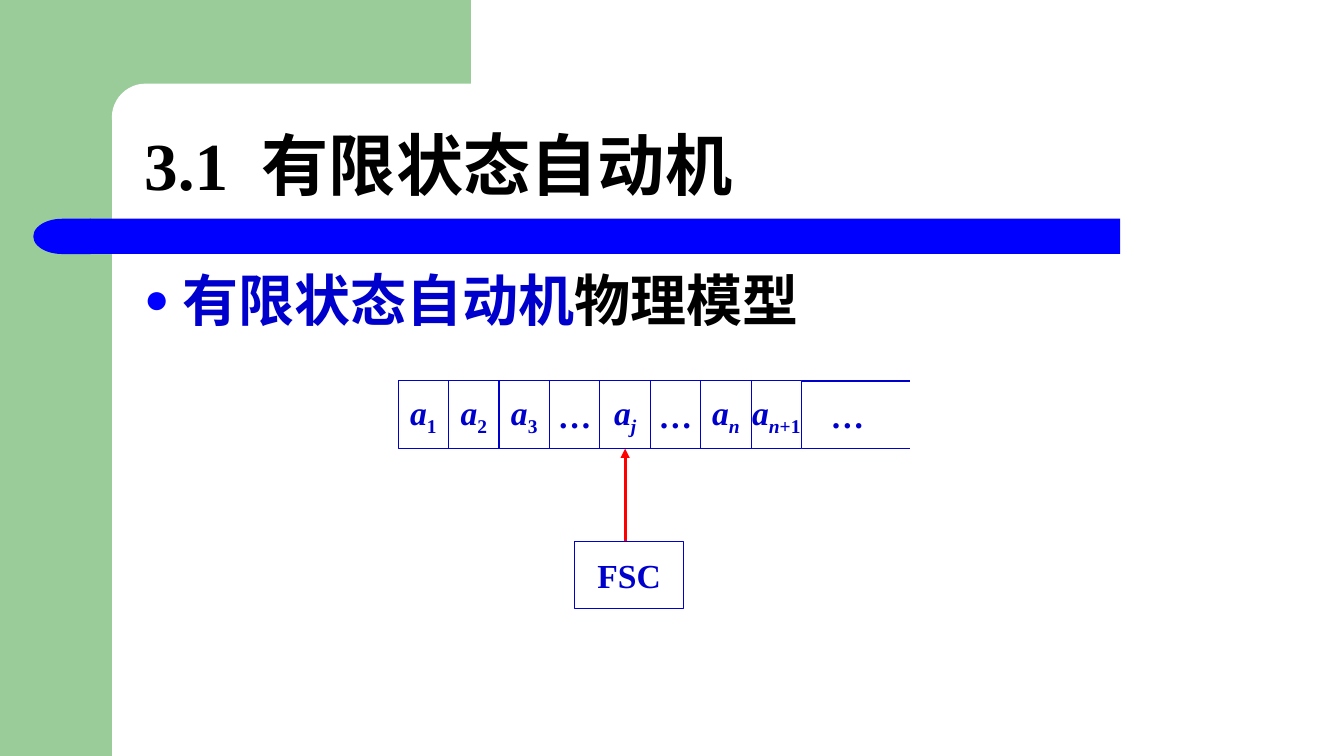
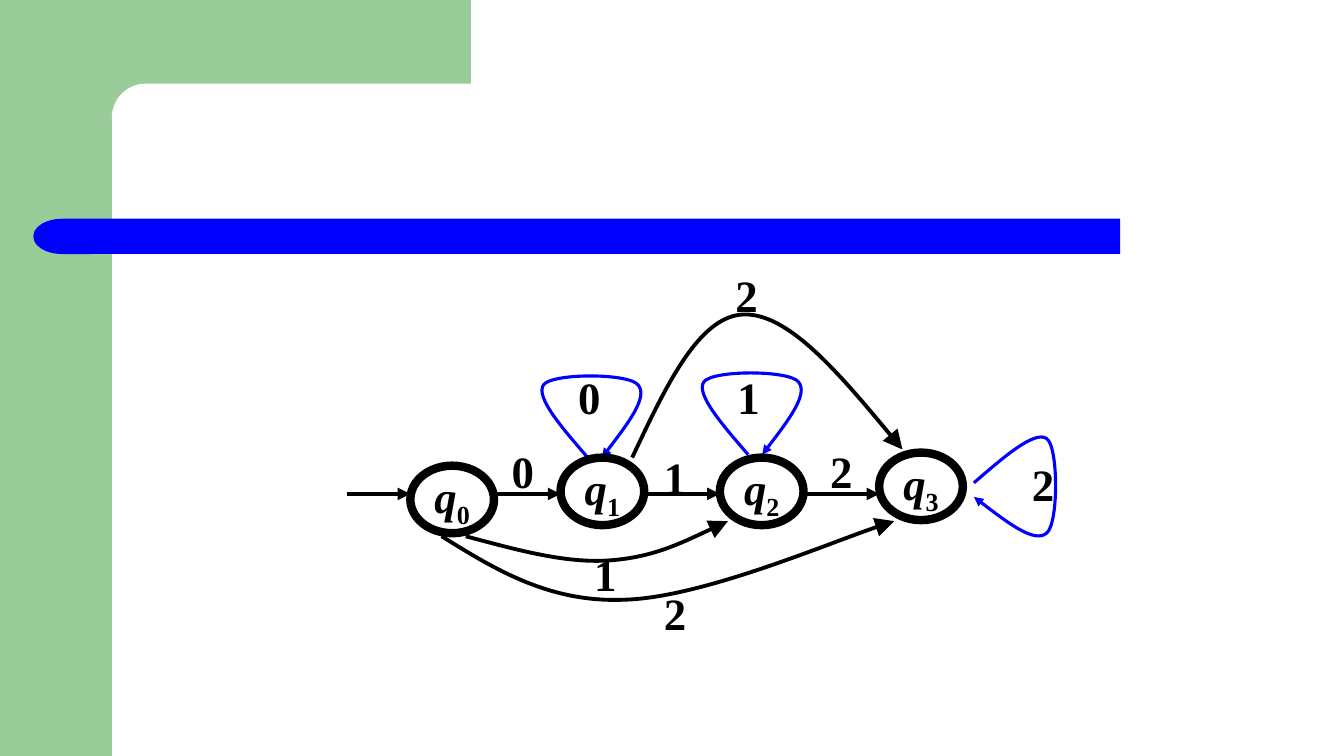
from dataclasses import dataclass
from pptx import Presentation
from pptx.dml.color import RGBColor
from pptx.enum.shapes import MSO_CONNECTOR, MSO_SHAPE
from pptx.enum.text import MSO_ANCHOR, MSO_AUTO_SIZE, PP_ALIGN
from pptx.oxml.xmlchemy import OxmlElement
from pptx.util import Inches, Pt


@dataclass(frozen=True)
class Theme:
    font: str = "Times New Roman"
    green: str = "99CC99"
    white: str = "FFFFFF"
    blue: str = "0000FF"
    ink: str = "0000CC"
    black: str = "000000"
    red: str = "FF0000"
    title: int = 48
    body: int = 40
    state: int = 32
    cell: int = 24


T = Theme()
SYMBOLS = {"a", "j", "n", "q"}


def write(para, parts, size, color):
    """Add the first part as a run and the others as its subscripts."""
    for i, part in enumerate(parts):
        run = para.add_run()
        run.text = part
        run.font.name = T.font
        run.font.size = Pt(size)
        run.font.bold = True
        run.font.italic = part in SYMBOLS
        run.font.color.rgb = RGBColor.from_string(color)
        if i:
            run._r.get_or_add_rPr().set("baseline", "-25000")
    return run


def stroke(item, color, width, head=None):
    """Outline a shape or connector, with no fill or shadow."""
    if hasattr(item, "fill"):
        item.fill.background()
    item.line.color.rgb = RGBColor.from_string(color)
    item.line.width = Pt(width)
    if head:
        tail = OxmlElement("a:tailEnd")
        for key, value in (("type", "triangle"), ("w", head), ("len", head)):
            tail.set(key, value)
        item.line._get_or_add_ln().append(tail)
    item.element.spPr.append(OxmlElement("a:effectLst"))


prs = Presentation()
prs.slide_width, prs.slide_height = Inches(13.33), Inches(7.5)
tape = prs.slides.add_slide(prs.slide_layouts[1])
graph = prs.slides.add_slide(prs.slide_layouts[6])

# Shared bands, moved to the back of the master
BANDS = [
    (MSO_SHAPE.RECTANGLE, 0, 0, 1.11, 7.5, T.green),
    (MSO_SHAPE.RECTANGLE, 1, 0, 3.67, 1.17, T.green),
    (MSO_SHAPE.ROUNDED_RECTANGLE, 1.11, 0.83, 7.44, 0.67, T.white),
    (MSO_SHAPE.RECTANGLE, 0.89, 2.17, 10.22, 0.35, T.blue),
    (MSO_SHAPE.FLOWCHART_DELAY, 0.33, 2.17, 0.57, 0.35, T.blue),
]
master = prs.slide_master.shapes.element
for i, (kind, *box, color) in enumerate(BANDS):
    band = tape.shapes.add_shape(kind, *map(Inches, box))
    band.fill.solid()
    band.fill.fore_color.rgb = RGBColor.from_string(color)
    band.line.fill.background()
    band.shadow.inherit = False
    if kind == MSO_SHAPE.ROUNDED_RECTANGLE:
        band.adjustments[0] = 0.5
    if kind == MSO_SHAPE.FLOWCHART_DELAY:
        band.rotation = 180
    band.element.xpath(".//p:cNvPr")[0].set("id", str(100 + i))
    master.insert(2 + i, band.element)

# Slide 1: title and list
title, body = tape.placeholders
for holder, top, height, anchor in ((title, 0.83, 1.25, MSO_ANCHOR.BOTTOM),
                                    (body, 2.58, 4.08, MSO_ANCHOR.TOP)):
    holder.left, holder.top = Inches(1.33), Inches(top)
    holder.width, holder.height = Inches(11.67), Inches(height)
    holder.text_frame.vertical_anchor = anchor
    holder.text_frame.auto_size = MSO_AUTO_SIZE.NONE

head = title.text_frame.paragraphs[0]
head.alignment = PP_ALIGN.LEFT
head.line_spacing = 0.9
write(head, ["3.1"], T.title, T.black)
gap = write(head, [" "], T.title, T.black)
gap._r.get_or_add_rPr().set("spc", "1200")
write(head, ["有限状态自动机"], T.title, T.black)

item = body.text_frame.paragraphs[0]
props = item._p.get_or_add_pPr()
props.set("marL", str(Inches(0.38)))
props.set("indent", str(-Inches(0.38)))
tint = OxmlElement("a:buClr")
shade = OxmlElement("a:srgbClr")
shade.set("val", T.blue)
tint.append(shade)
scale = OxmlElement("a:buSzPct")
scale.set("val", "75000")
dot = OxmlElement("a:buChar")
dot.set("char", "●")
for part in (tint, scale, dot):
    props.append(part)
item.space_before = Pt(0)
write(item, ["有限状态自动机"], T.body, T.ink)
write(item, ["物理模型"], T.body, T.black)

# Boxes of the tape and the control unit; circles of the states
CELLS = ["a1", "a2", "a3", "…", "aj", "…", "an", ("a", "n", "+1")]
STATES = [(4.07, 4.62), (5.56, 4.54), (7.14, 4.54), (8.72, 4.49)]
LEFT, TOP, STEP, TALL, WIDE = 3.95, 3.78, 0.5, 0.67, 0.83
nodes = [(tape, MSO_SHAPE.RECTANGLE, LEFT + i * STEP, TOP, STEP, parts)
         for i, parts in enumerate(CELLS)]
nodes.append((tape, MSO_SHAPE.RECTANGLE, 5.7, 5.37, 1.08, ["FSC"]))
nodes += [(graph, MSO_SHAPE.OVAL, x, y, WIDE, ("q", str(i)))
          for i, (x, y) in enumerate(STATES)]

# Loops and curves, as a start and cubic control points
LOOP = [(0, 0), (-0.26, -0.3), (-0.52, -0.6), (-0.44, -0.72), (-0.36, -0.84),
        (0.41, -0.84), (0.5, -0.72), (0.6, -0.6), (0.37, -0.3), (0.14, 0)]
curves = [([(x + dx, y + dy) for dx, dy in LOOP], T.blue, 2.25, "med")
          for x, y in ((5.83, 4.54), (7.42, 4.51))]
curves.append(([(9.66 - dy, 4.79 + dx) for dx, dy in LOOP],
               T.blue, 2.25, "med"))
ARCS = [
    [(4.62, 5.32), (5.11, 5.45), (5.6, 5.59), (6.04, 5.56),
     (6.47, 5.53), (6.84, 5.35), (7.22, 5.17)],
    [(4.38, 5.32), (4.91, 5.65), (5.45, 5.98), (6.19, 5.95),
     (6.94, 5.93), (8.43, 5.3), (8.87, 5.17)],
    [(6.27, 4.54), (6.6, 3.84), (6.93, 3.13), (7.38, 3.12),
     (7.82, 3.11), (8.39, 3.78), (8.95, 4.46)],
]
curves += [(arc, T.black, 2.75, "lg") for arc in ARCS]
for points, color, width, size in curves:
    pen = graph.shapes.build_freeform(*points[0], scale=Inches(1) / 1000 * 1000)
    pen = graph.shapes.build_freeform(
        *(round(v * 1000) for v in points[0]), scale=Inches(1) / 1000)
    pen.add_line_segments(
        [(round(x * 1000), round(y * 1000)) for x, y in points[1:]], close=False)
    curve = pen.convert_to_shape()
    track = curve.element.xpath(".//a:path")[0]
    legs = track.xpath("./a:lnTo")
    for i in range(0, len(legs), 3):
        bend = OxmlElement("a:cubicBezTo")
        for leg in legs[i:i + 3]:
            bend.append(leg[0])
            track.remove(leg)
        track.append(bend)
    stroke(curve, color, width, size)

for slide, kind, x, y, width, parts in nodes:
    node = slide.shapes.add_shape(
        kind, Inches(x), Inches(y), Inches(width), Inches(TALL))
    frame = node.text_frame
    frame.word_wrap = False
    frame.vertical_anchor = MSO_ANCHOR.MIDDLE
    frame.paragraphs[0].alignment = PP_ALIGN.CENTER
    if slide is tape:
        stroke(node, T.ink, 0.75)
        write(frame.paragraphs[0], parts, T.cell, T.ink)
    else:
        stroke(node, T.black, 6)
        write(frame.paragraphs[0], parts, T.state, T.black)

# Straight lines: open end of the tape, read head, steps between states
END = LEFT + len(CELLS) * STEP
lines = [(tape, END, y, 9.03, y, T.ink, 0.75, None)
         for y in (TOP, TOP + TALL)]
lines.append((tape, 6.2, 5.37, 6.2, TOP + TALL, T.red, 2.25, "med"))
starts = [3.44] + [x + WIDE for x, y in STATES[:-1]]
lines += [(graph, start, 4.9, x, 4.9, T.black, 3, "med")
          for start, (x, y) in zip(starts, STATES)]
for slide, x1, y1, x2, y2, color, width, size in lines:
    line = slide.shapes.add_connector(
        MSO_CONNECTOR.STRAIGHT, *map(Inches, (x1, y1, x2, y2)))
    stroke(line, color, width, size)

# Free labels: the rest of the tape and the input symbols
labels = [(tape, 8.03, 3.92, 0.75, "…", T.cell, T.ink)]
labels += [(graph, x, y, 0.25, mark, T.state, T.black) for x, y, mark in (
    (5.06, 4.4, "0"), (6.57, 4.46, "1"), (8.22, 4.4, "2"),
    (5.72, 3.67, "0"), (7.3, 3.67, "1"), (10.22, 4.53, "2"),
    (5.88, 5.42, "1"), (6.57, 5.81, "2"), (7.28, 2.66, "2"))]
for slide, x, y, width, mark, size, color in labels:
    label = slide.shapes.add_textbox(
        Inches(x), Inches(y), Inches(width), Inches(size / 60))
    frame = label.text_frame
    frame.word_wrap = True
    frame.vertical_anchor = MSO_ANCHOR.MIDDLE
    frame.margin_left = frame.margin_right = 0
    frame.margin_top = frame.margin_bottom = 0
    frame.paragraphs[0].alignment = PP_ALIGN.CENTER
    write(frame.paragraphs[0], [mark], size, color)

prs.save("out.pptx")
